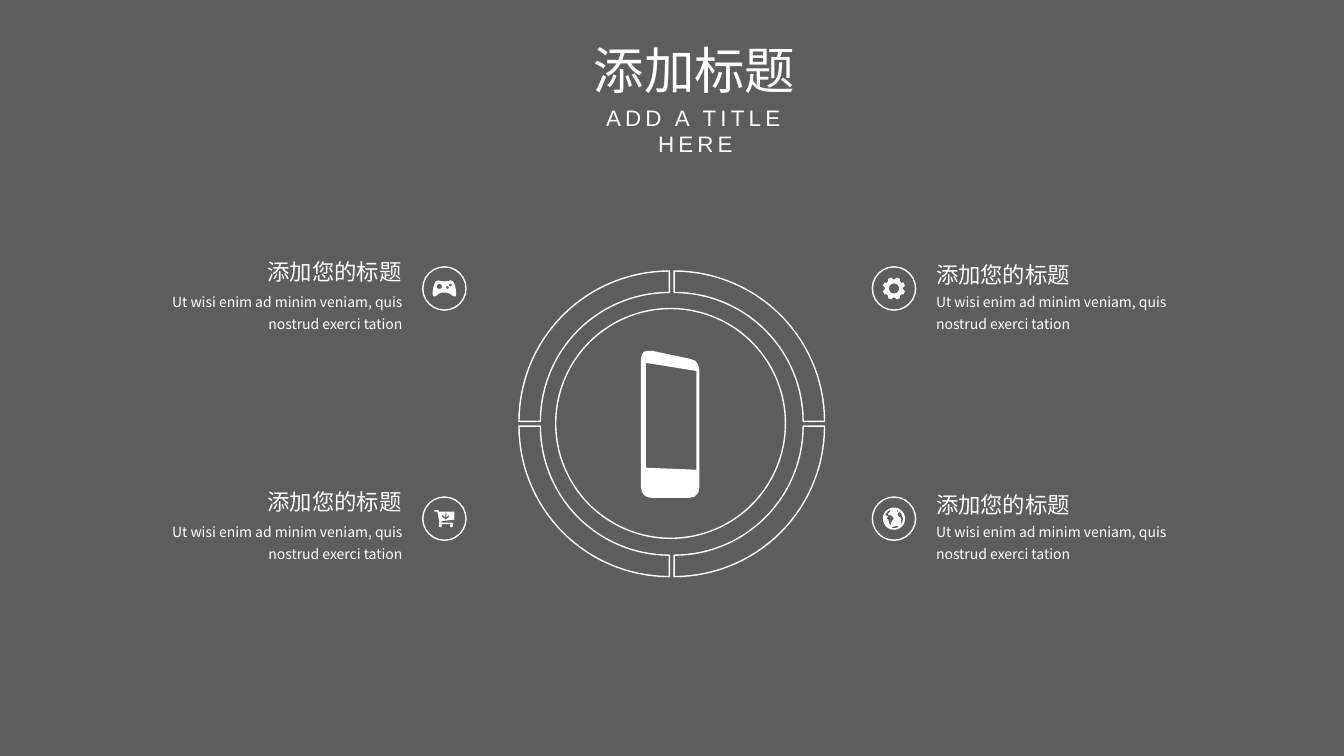
"""Build a slide with a phone inside a four-part ring and four icon captions."""
import math

from lxml import etree
from pptx import Presentation
from pptx.dml.color import RGBColor
from pptx.enum import shapes, text
from pptx.oxml import ns
from pptx.util import Cm, Pt

WHITE = RGBColor(0xFF, 0xFF, 0xFF)
GREY = RGBColor(0x5D, 0x5D, 0x5D)
CJK_FONT = "Noto Sans CJK SC"
ICON_UNIT = 0.0254
LEFT, CENTER, RIGHT = text.PP_ALIGN.LEFT, text.PP_ALIGN.CENTER, text.PP_ALIGN.RIGHT


def arc(x, y, radius, start=0, end=350, step=10):
    angles = [math.radians(angle) for angle in range(start, end + 1, step)]
    return [(x + radius * math.cos(a), y + radius * math.sin(a)) for a in angles]


def draw_outline(contours, left, top, unit=1.0, filled=True):
    scaled = [[(round(x * unit * 1000), round(y * unit * 1000)) for x, y in contour]
              for contour in contours]
    builder = slide.shapes.build_freeform(*scaled[0][0], scale=Cm(0.001))
    for contour in scaled:
        if contour is not scaled[0]:
            builder.move_to(*contour[0])
        builder.add_line_segments(contour[1:], close=True)
    shape = builder.convert_to_shape(Cm(left), Cm(top))
    shape.shadow.inherit = False
    if filled:
        shape.fill.solid()
        shape.fill.fore_color.rgb = WHITE
        shape.line.fill.background()
    else:
        shape.fill.background()
        shape.line.color.rgb = WHITE
        shape.line.width = Pt(1)


presentation = Presentation()
presentation.slide_width, presentation.slide_height = Cm(33.87), Cm(19.05)
slide = presentation.slides.add_slide(presentation.slide_layouts[5])
slide.background.fill.solid()
slide.background.fill.fore_color.rgb = GREY

ring_x, ring_y, half_gap = 16.93, 10.68, 0.06
for start in range(0, 360, 90):
    middle = math.radians(start + 45)
    quarter = arc(0, 0, 3.79, start, start + 90, 3) + arc(0, 0, 3.25, start, start + 90, 3)[::-1]
    draw_outline([quarter], ring_x + math.copysign(half_gap, math.cos(middle)),
                 ring_y + math.copysign(half_gap, math.sin(middle)), filled=False)

phone_body = [(7, 0), (3, 1), (1, 4), (0, 8), (0, 135), (1, 140), (4, 144), (8, 145.5),
              (12, 146), (47, 146), (53, 145), (57, 141), (58, 136), (58, 19), (57, 14),
              (54, 10), (49, 8), (11, 0)]
phone_screen = [(5, 12), (55, 20), (55, 118), (5, 116)]
draw_outline([phone_body, phone_screen], 16.15, 8.84, ICON_UNIT)

gear = [(radius * math.cos(math.radians(angle + turn)),
         radius * math.sin(math.radians(angle + turn)))
        for turn in range(0, 360, 45)
        for angle, radius in ((-6, 9.2), (6, 9.2), (14, 11.2), (31, 11.2))]
gear_icon = [gear, arc(0, 0, 5)]

globe_icon = [
    arc(0, 0, 11),
    [(-1, -9.5), (-3, -8.5), (-4, -7), (-6, -4.5), (-5, -3.5), (-3, -3.5), (0, -0.5),
     (-2, 2.5), (-3, 4.5), (-3, 7.5), (-5, 4.5), (-5, 2.5), (-7, -0.5), (-6, -2.5),
     (-9, -3.5), (-6, -7.5)],
    [(9, 0.5), (8.5, 3), (7, 5.5), (7, 0.5), (6, -1.5), (4, -2.5), (3.5, -4.5),
     (5, -7), (3, -7), (3, -8.5), (7, -5.5)],
    [(-3, 9), (-1, 8), (2, 7.5), (5, 7.5), (3, 9), (0, 9.5)],
]

cart_icon = [
    [(-10, -8.5), (-6, -8.5), (-5.5, -7), (10, -7), (10, 1), (-3, 2.5), (-3, 4),
     (8.5, 4), (8.5, 5.5), (-5.5, 5.5), (-5, 3), (-7, -7), (-10, -7)],
    [(1, -6), (2, -6), (2, -1.5), (4.5, -3.5), (5, -2.5), (1.5, 1), (-3, -2.5),
     (-2, -3.5), (1, -1.5)],
    arc(7, 7, 1.5),
    arc(-4, 7, 1.5),
]

pad_half = [(0, -7), (4, -7.5), (6, -8), (8, -7.5), (9.5, -5.5), (11, -1), (11.7, 4),
            (11.5, 7), (10.5, 8), (8.5, 7.5), (6, 5.5), (3, 4.2), (0, 4)]
gamepad_icon = [
    pad_half + [(-x, y) for x, y in pad_half[-2:0:-1]],
    arc(-5, -2, 2.5),
    arc(3, -1, 1.4),
    arc(6, -3.5, 1.4),
]

circles = [(16.9, 10.67, 5.79)]
captions = []
for column_x, column_icons, head_x, head_shift, body_x, alignment in (
        (11.2, (gamepad_icon, cart_icon), 6.43, -1.02, 3.18, RIGHT),
        (22.53, (gear_icon, globe_icon), 23.34, -0.95, 23.34, LEFT)):
    for row, icon in enumerate(column_icons):
        row_y = 7.27 + 5.8 * row
        circles.append((column_x, row_y, 1.09))
        draw_outline(icon, column_x, row_y, ICON_UNIT)
        captions += [
            (head_x, row_y + head_shift, 3.94, 1.02, "添加您的标题", 16, 1.2, alignment, False),
            (body_x, row_y - 0.13, 7.21, 1.32,
             "Ut wisi enim ad minim veniam, quis nostrud exerci tation", 10, 1.3, alignment, True)]

for x, y, size in circles:
    circle = slide.shapes.add_shape(shapes.MSO_SHAPE.OVAL, Cm(x - size / 2), Cm(y - size / 2),
                                    Cm(size), Cm(size))
    circle.shadow.inherit = False
    circle.fill.background()
    circle.line.color.rgb = WHITE
    circle.line.width = Pt(1)

title = (14.68, 0.86, 5.64, 1.8, "添加标题", 36, 1.0, CENTER, False)
subtitle = (14.17, 2.49, 6.71, 0.94, "ADD A TITLE HERE", 16, 1.0, CENTER, True)
for entry in [title, subtitle] + captions:
    left, top, width, height, wording, size, spacing, alignment, wrap = entry
    box = slide.shapes.title if entry is title else slide.shapes.add_textbox(0, 0, 0, 0)
    box.left, box.top, box.width, box.height = Cm(left), Cm(top), Cm(width), Cm(height)
    frame = box.text_frame
    frame.word_wrap = wrap
    frame.auto_size = text.MSO_AUTO_SIZE.SHAPE_TO_FIT_TEXT
    frame.vertical_anchor = text.MSO_ANCHOR.TOP
    paragraph = frame.paragraphs[0]
    paragraph.alignment = alignment
    paragraph.line_spacing = spacing
    run = paragraph.add_run()
    run.text = wording
    run.font.name = "Arial" if entry is subtitle else CJK_FONT
    run.font.size = Pt(size)
    run.font.color.rgb = WHITE
    properties = run.font._element
    if entry is subtitle:
        properties.set("spc", "300")
    else:
        etree.SubElement(properties, ns.qn("a:ea"), typeface=CJK_FONT)

presentation.save("out.pptx")
